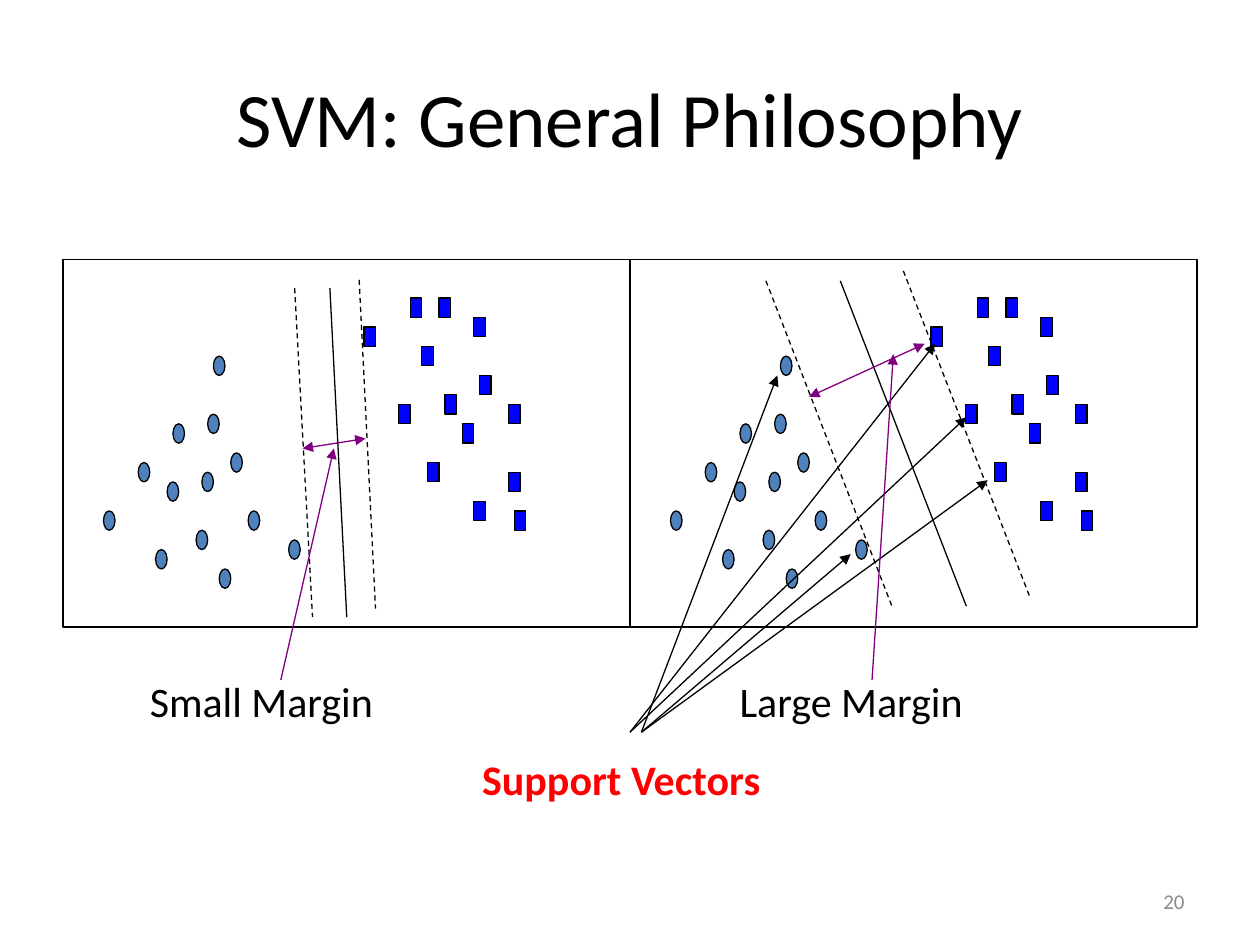
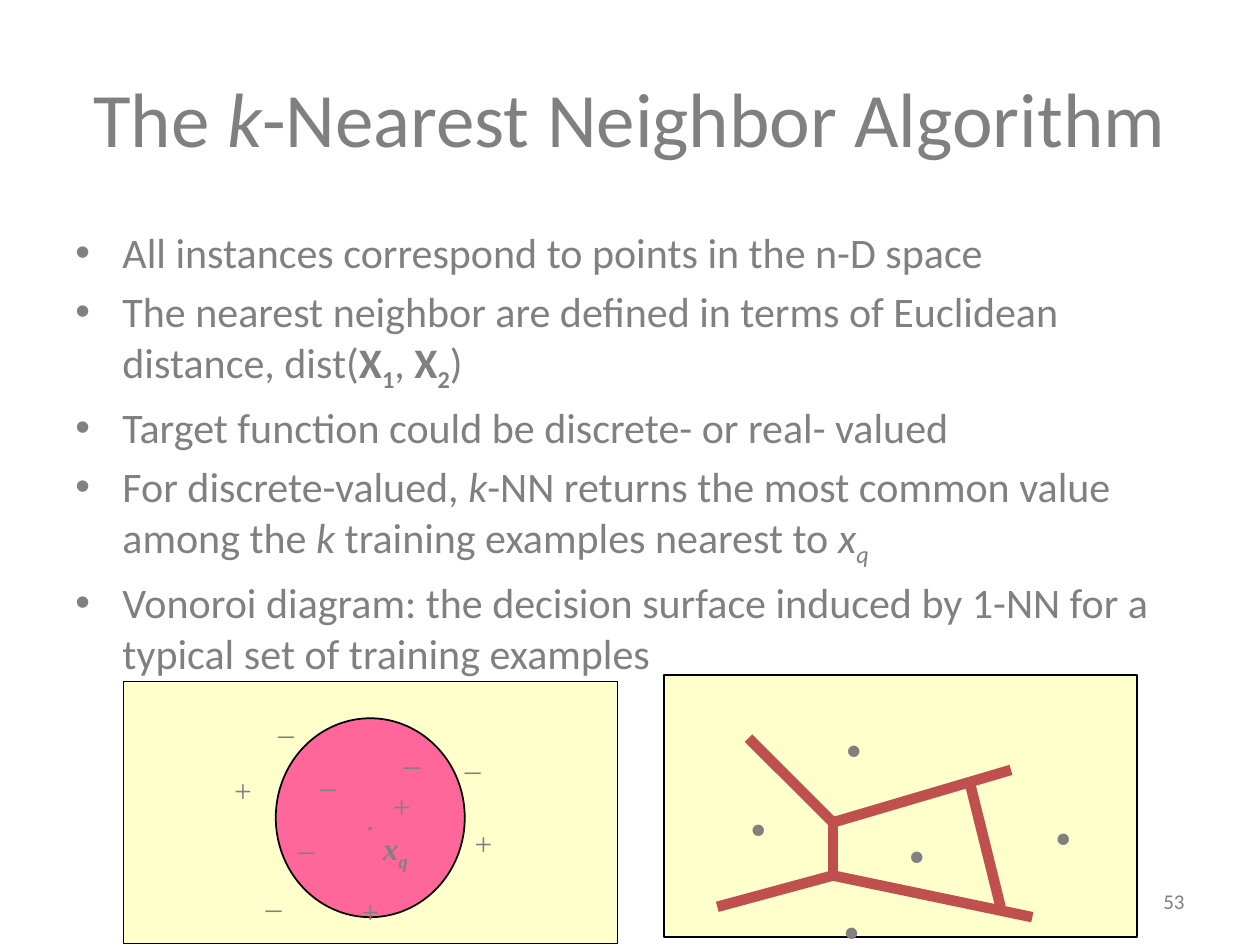
from pptx import Presentation
from pptx.dml.color import RGBColor
from pptx.enum.dml import MSO_LINE
from pptx.enum.shapes import MSO_CONNECTOR, MSO_SHAPE
from pptx.enum.text import MSO_ANCHOR, PP_ALIGN
from pptx.oxml.ns import qn
from pptx.util import Cm, Pt
from lxml.etree import SubElement

BLACK, GRAY, NUMBER_GRAY = "000000", "808080", "8C8C8C"
RED, PURPLE, BLUE, STEEL = "FF0000", "800080", "0000FF", "4F81BD"
CREAM, PINK, BRICK = "FFFFCC", "FF6699", "C0504D"
SANS, SERIF = "Calibri", "Times New Roman"

TITLE_BOX = (1.27, 0.76, 22.86, 3.18)
NUMBER_BOX = (18.21, 17.65, 5.92, 1.02)
BODY_BOX = (1.27, 4.45, 22.86, 12.57)
BULLET_INDENT = 0.95

PANEL_WIDTH, PANEL_HEIGHT = 11.43, 7.41
LEFT_PANEL = (1.27, 5.23, PANEL_WIDTH, PANEL_HEIGHT)
RIGHT_PANEL = (12.7, 5.23, PANEL_WIDTH, PANEL_HEIGHT)
GRID_COLUMNS, GRID_ROWS, MARK_CELLS = 98, 38, 2
CIRCLE_CELLS = [(16, 30), (18, 23), (7, 26), (13, 21), (23, 28), (19, 17), (24, 22),
                (25, 16), (29, 20), (32, 26), (27, 32), (39, 29), (26, 10)]
SQUARE_CELLS = [(58, 15), (52, 7), (60, 4), (63, 21), (62, 9), (66, 14), (65, 4),
                (71, 6), (69, 17), (72, 12), (71, 25), (77, 15), (77, 22), (78, 26)]

NEIGHBOR_BOX = (2.49, 13.74, 9.96, 5.28)
VORONOI_BOX = (13.39, 13.61, 9.53, 5.28)
BULLETS = [
    [("All instances correspond to points in the n-D space", "")],
    [("The nearest neighbor are defined in terms of Euclidean distance, dist(", ""),
     ("X", "b"), ("1", "bs"), (", ", ""), ("X", "b"), ("2", "bs"), (")", "")],
    [("Target function could be discrete- or real- valued", "")],
    [("For discrete-valued, ", ""), ("k", "i"),
     ("-NN returns the most common value among the ", ""), ("k", "i"),
     (" training examples nearest to ", ""), ("x", "i"), ("q", "is")],
    [("Vonoroi diagram: the decision surface induced by 1-NN for a typical set of "
      "training examples", "")],
]


def color(hex_string):
    """Turn a hex string into a colour."""
    return RGBColor.from_string(hex_string)


def place(box, x, y):
    """Shift a point given relative to a box to slide coordinates."""
    return box[0] + x, box[1] + y


def add_runs(paragraph, runs, size, hex_string, font=SANS):
    """Add runs whose style letters mean bold, italic and subscript."""
    for text, style in runs:
        run = paragraph.add_run()
        run.text = text
        run.font.name = font
        run.font.size = Pt(size)
        run.font.color.rgb = color(hex_string)
        run.font.bold = "b" in style
        run.font.italic = "i" in style
        if "s" in style:
            run.font._element.set("baseline", "-25000")


def add_text(slide, box, runs, size, hex_string, font=SANS, align=PP_ALIGN.LEFT,
             anchor=MSO_ANCHOR.TOP, wrap=False):
    """Add a text box with one paragraph."""
    frame = slide.shapes.add_textbox(*map(Cm, box)).text_frame
    frame.word_wrap = wrap
    frame.vertical_anchor = anchor
    frame.paragraphs[0].alignment = align
    add_runs(frame.paragraphs[0], runs, size, hex_string, font)


def add_box(slide, kind, box, fill=None, line_width=0.75):
    """Add a black-lined preset shape, hollow unless it has a fill."""
    shape = slide.shapes.add_shape(kind, *map(Cm, box))
    shape.shadow.inherit = False
    shape.line.color.rgb = color(BLACK)
    shape.line.width = Pt(line_width)
    if fill:
        shape.fill.solid()
        shape.fill.fore_color.rgb = color(fill)
    else:
        shape.fill.background()
    return shape


def add_line(slide, box, ends, hex_string=BLACK, width=0.75, dashed=False, arrows=()):
    """Add a straight line between two points relative to a box."""
    start, end = place(box, *ends[:2]), place(box, *ends[2:])
    connector = slide.shapes.add_connector(MSO_CONNECTOR.STRAIGHT, *map(Cm, start + end))
    connector.line.color.rgb = color(hex_string)
    connector.line.width = Pt(width)
    if dashed:
        connector.line.dash_style = MSO_LINE.DASH
    outline = connector.line._get_or_add_ln()
    for arrow in arrows:
        SubElement(outline, qn(f"a:{arrow}"), type="triangle")
    SubElement(connector._element.spPr, qn("a:effectLst"))


def add_titled_slide(presentation, title_runs, number, title_color, number_color):
    """Add a blank slide with its title and slide number."""
    slide = presentation.slides.add_slide(presentation.slide_layouts[6])
    add_text(slide, TITLE_BOX, title_runs, 44, title_color, align=PP_ALIGN.CENTER,
             anchor=MSO_ANCHOR.MIDDLE, wrap=True)
    add_text(slide, NUMBER_BOX, [(number, "")], 12, number_color, align=PP_ALIGN.RIGHT,
             anchor=MSO_ANCHOR.MIDDLE, wrap=True)
    return slide


def add_scatter_panel(slide, box, margins, separator):
    """Draw both classes of points, the dashed margins and the separator."""
    cell_width, cell_height = box[2] / GRID_COLUMNS, box[3] / GRID_ROWS
    for kind, cells, fill in ((MSO_SHAPE.OVAL, CIRCLE_CELLS, STEEL),
                              (MSO_SHAPE.RECTANGLE, SQUARE_CELLS, BLUE)):
        for column, row in cells:
            corner = place(box, column * cell_width, row * cell_height)
            add_box(slide, kind,
                    (*corner, MARK_CELLS * cell_width, MARK_CELLS * cell_height), fill)
    add_box(slide, MSO_SHAPE.RECTANGLE, box)
    for margin in margins:
        add_line(slide, box, margin, dashed=True)
    add_line(slide, box, separator)


def add_margin_note(slide, box, label, label_x, span, pointer):
    """Mark the width of a margin and name it below the panel."""
    add_text(slide, (*place(box, label_x, 8.26), 5.2, 1.3), [(label, "")], 24, BLACK)
    add_line(slide, box, span, PURPLE, arrows=("headEnd", "tailEnd"))
    add_line(slide, box, pointer, PURPLE, arrows=("tailEnd",))


def add_support_vectors(slide, box):
    """Point from the support vector label to the five vectors."""
    add_text(slide, (*place(box, -3.23, 9.83), 6.4, 1.3), [("Support Vectors", "b")], 24, RED)
    for start_x, tip in ((0, (6.15, 1.7)), (0, (6.78, 3.18)), (0.23, (7.21, 4.45)),
                         (0.23, (4.45, 5.94)), (0.23, (2.97, 2.34))):
        add_line(slide, box, (start_x, 9.53, *tip), arrows=("tailEnd",))


def add_bullets(slide, box):
    """Write the bullet list."""
    frame = slide.shapes.add_textbox(*map(Cm, box)).text_frame
    frame.word_wrap = True
    for index, runs in enumerate(BULLETS):
        paragraph = frame.add_paragraph() if index else frame.paragraphs[0]
        paragraph.space_before = Pt(4.8)
        properties = paragraph._p.get_or_add_pPr()
        properties.set("marL", str(Cm(BULLET_INDENT)))
        properties.set("indent", str(-Cm(BULLET_INDENT)))
        SubElement(properties, qn("a:buFont"), typeface="Arial")
        SubElement(properties, qn("a:buChar"), char="•")
        add_runs(paragraph, runs, 24, GRAY)


def add_neighbor_diagram(slide, box):
    """Draw the query point among positive and negative examples."""
    add_box(slide, MSO_SHAPE.RECTANGLE, box, CREAM, 1)
    circle = add_box(slide, MSO_SHAPE.OVAL, (*place(box, 3.07, 0.74), 3.81, 4.01), PINK, 1)
    frame = circle.text_frame
    frame.word_wrap = False
    frame.vertical_anchor = MSO_ANCHOR.MIDDLE
    frame.paragraphs[0].alignment = PP_ALIGN.CENTER
    add_runs(frame.paragraphs[0], [(".", "")], 18, GRAY, SERIF)
    signs = {
        "_": [(3.71, 1.37), (3.28, 2.64), (5.41, 0.94), (6.63, 1.04), (2.62, 3.81), (2.87, 0.3)],
        "+": [(5.18, 2.01), (4.55, 4.11), (1.98, 1.68), (6.83, 2.74)],
    }
    for sign, corners in signs.items():
        for corner in corners:
            add_text(slide, (*place(box, *corner), 0.85, 1.02), [(sign, "")], 18, GRAY, SERIF)
    add_text(slide, (*place(box, 4.98, 2.84), 1.02, 1.02), [("x", "bi"), ("q", "bis")],
             18, GRAY, SERIF)


def add_voronoi_diagram(slide, box):
    """Draw the cell borders and the training points."""
    add_box(slide, MSO_SHAPE.RECTANGLE, box, CREAM, 1)
    upper, lower = (3.4, 2.97), (3.4, 4.04)
    for start, end in (((1.7, 1.27), upper), (upper, (6.99, 1.91)), (upper, lower),
                       (lower, (7.42, 4.88)), (lower, (1.07, 4.67)),
                       ((6.15, 2.13), (6.78, 4.67))):
        add_line(slide, box, start + end, BRICK, 6)
    for corner in ((3.4, 0.1), (4.67, 2.24), (3.35, 3.78), (1.47, 1.7), (7.62, 1.88)):
        add_text(slide, (*place(box, *corner), 0.86, 1.96), [(".", "b")], 40, GRAY, SERIF)


def build_svm_slide(presentation):
    """Build the slide comparing small and large margins."""
    slide = add_titled_slide(presentation, [("SVM: General Philosophy", "")], "20",
                             BLACK, NUMBER_GRAY)
    add_scatter_panel(slide, LEFT_PANEL,
                      [(5.97, 0.41, 6.3, 7.04), (4.67, 0.58, 5.03, 7.21)],
                      (5.38, 0.58, 5.72, 7.21))
    add_scatter_panel(slide, RIGHT_PANEL,
                      [(2.74, 0.43, 5.28, 6.99), (5.51, 0.23, 8.05, 6.78)],
                      (4.24, 0.43, 6.78, 6.99))
    add_support_vectors(slide, RIGHT_PANEL)
    add_margin_note(slide, LEFT_PANEL, "Small Margin", 1.5,
                    (4.83, 3.81, 6.1, 3.61), (4.39, 8.48, 5.46, 3.81))
    add_margin_note(slide, RIGHT_PANEL, "Large Margin", 1.96,
                    (3.61, 2.77, 5.94, 1.7), (4.88, 8.48, 5.31, 1.91))


def build_neighbor_slide(presentation):
    """Build the slide on the nearest neighbor algorithm."""
    title_runs = [("The ", ""), ("k", "i"), ("-Nearest Neighbor Algorithm", "")]
    slide = add_titled_slide(presentation, title_runs, "53", GRAY, GRAY)
    add_bullets(slide, BODY_BOX)
    add_neighbor_diagram(slide, NEIGHBOR_BOX)
    add_voronoi_diagram(slide, VORONOI_BOX)


def main():
    """Build and save the presentation."""
    presentation = Presentation()
    presentation.slide_width, presentation.slide_height = Cm(25.4), Cm(19.05)
    build_svm_slide(presentation)
    build_neighbor_slide(presentation)
    presentation.save("out.pptx")


if __name__ == "__main__":
    main()
